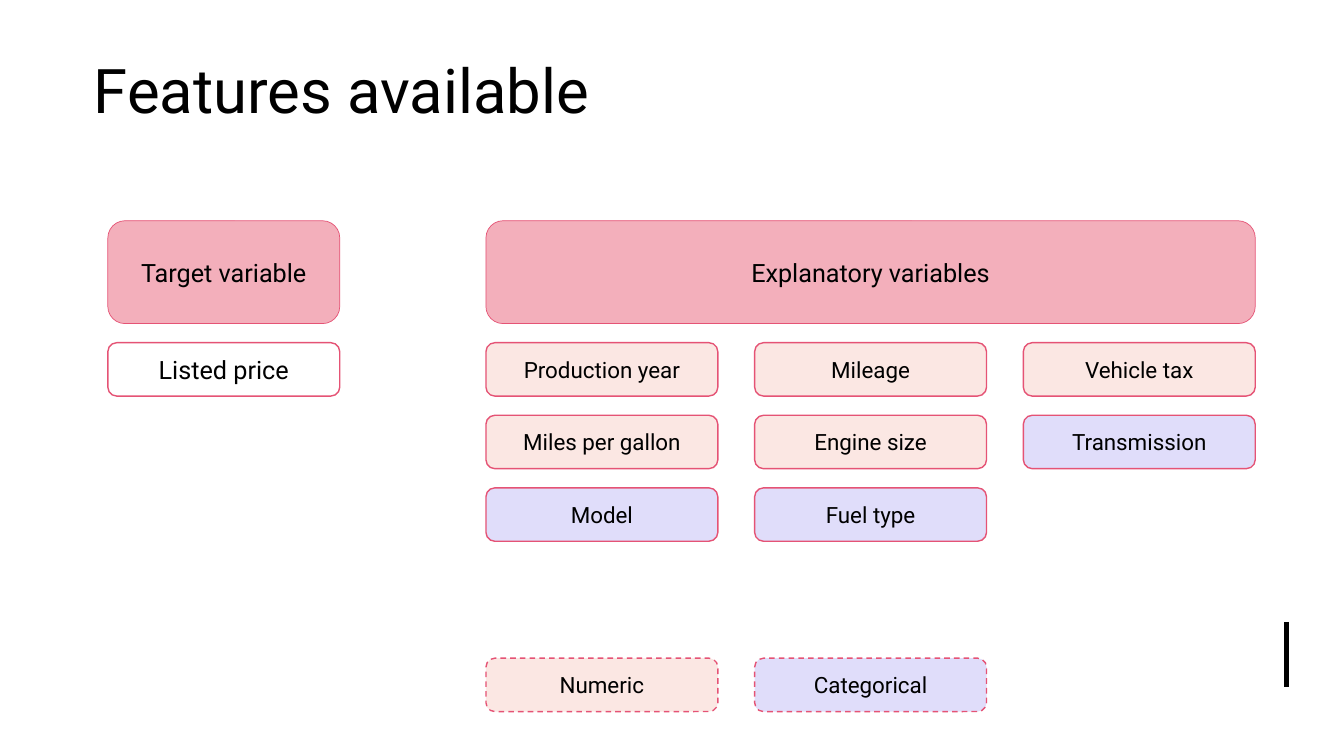
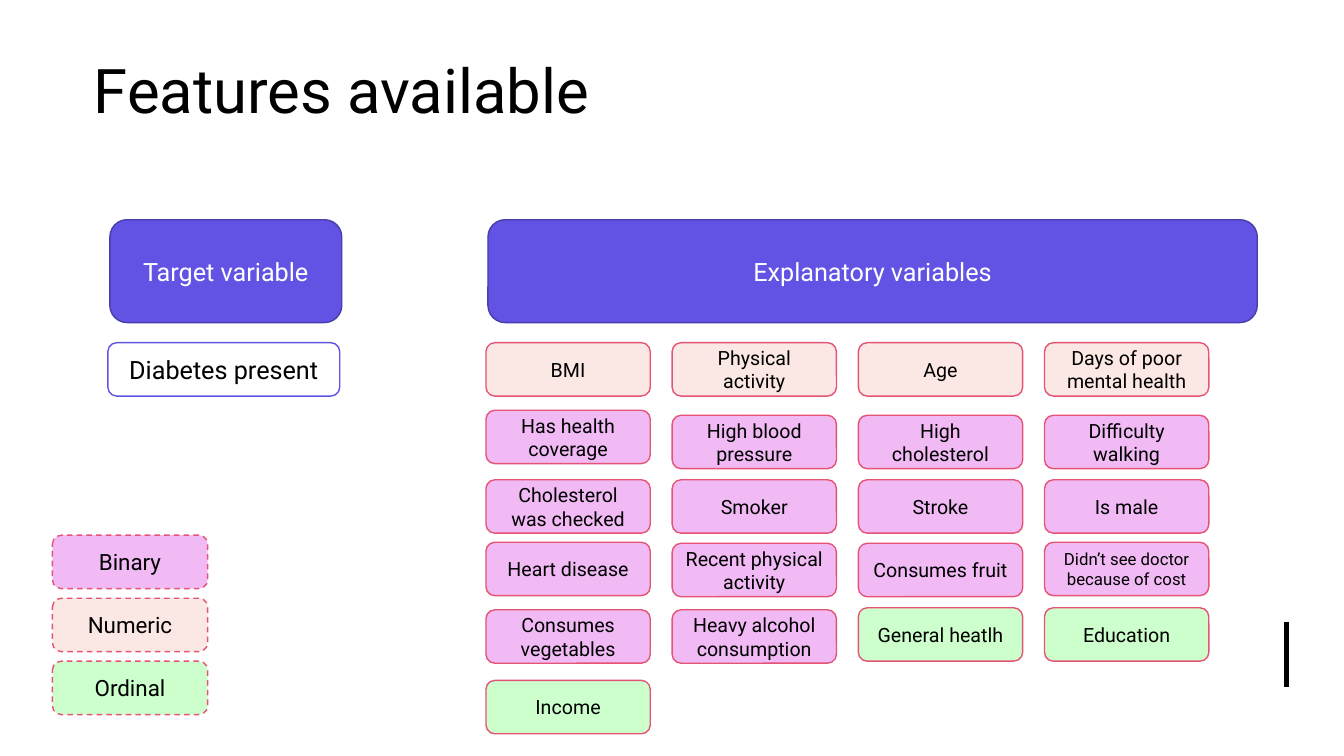
from lxml import etree
from pptx import Presentation
from pptx import util as u
from pptx.dml import color
from pptx.enum import dml, shapes, text
from pptx.oxml import ns

HUES = {
    "black": "000000", "white": "FFFFFF", "rose": "F3AFBB", "red": "E55375",
    "peach": "FBE7E3", "lilac": "E0DDFA", "violet": "6253E5", "navy": "493DA9",
    "pink": "F1BAF5", "green": "CCFFCC",
}
LEFT, GRID, TOP = 1.07, 4.82, 3.4
WIDE, FULL, TALL, LOW = 2.3, 7.63, 1.02, 0.53


def hue(name):
    return color.RGBColor.from_string(HUES[name])


def put(item, form):
    for key, value in form.items():
        setattr(item, key, value)


class Deck:
    font = "Roboto"
    frame = {"word_wrap": True, "auto_size": text.MSO_AUTO_SIZE.NONE,
             "vertical_anchor": text.MSO_ANCHOR.MIDDLE}

    def __init__(self):
        self.show = Presentation()
        put(self.show, {"slide_width": u.Inches(13.33), "slide_height": u.Inches(7.5)})
        self.slide = None

    def page(self, title):
        self.slide = self.show.slides.add_slide(self.show.slide_layouts[5])
        head = self.slide.shapes.title
        put(head, {"left": u.Inches(0.83), "top": u.Inches(0.37),
                   "width": u.Inches(11.35), "height": u.Inches(1.02)})
        self.label(head, title, 44, "black", text.PP_ALIGN.LEFT)
        self.rule(12.76, 6.17, 6.82)

    def label(self, shape, words, size, ink, align=text.PP_ALIGN.CENTER):
        put(shape.text_frame, self.frame)
        para = shape.text_frame.paragraphs[0]
        para.alignment = align
        run = para.add_run()
        run.text = words
        put(run.font, {"name": self.font, "size": u.Pt(size)})
        run.font.color.rgb = hue(ink)

    def rule(self, x, top, end):
        bar = self.slide.shapes.add_connector(
            shapes.MSO_CONNECTOR.STRAIGHT,
            u.Inches(x), u.Inches(top), u.Inches(x), u.Inches(end))
        bar.line.color.rgb = hue("black")
        bar.line.width = u.Pt(3)
        props = bar.element.find(ns.qn("p:spPr"))
        etree.SubElement(props, ns.qn("a:effectLst"))

    def box(self, words, x, y, wide, fill, size=16, tall=LOW,
            edge="red", weight=1, ink="black", dash=False):
        card = self.slide.shapes.add_shape(
            shapes.MSO_SHAPE.ROUNDED_RECTANGLE,
            u.Inches(x), u.Inches(y), u.Inches(wide), u.Inches(tall))
        card.shadow.inherit = False
        card.fill.solid()
        card.fill.fore_color.rgb = hue(fill)
        card.line.color.rgb = hue(edge)
        card.line.width = u.Pt(weight)
        if dash:
            card.line.dash_style = dml.MSO_LINE.DASH
        self.label(card, words, size, ink)

    def heads(self, shift, top, **form):
        for words, x, wide in (("Target variable", LEFT, WIDE),
                               ("Explanatory variables", GRID, FULL)):
            self.box(words, x + shift, top, wide, size=18, tall=TALL, **form)

    def grid(self, rows, tops, step, wide, kinds, size, odd=None):
        for top, row in zip(tops, rows):
            for col, (kind, words) in enumerate(row):
                y, points = (odd or {}).get(words, (top, size))
                self.box(words, GRID + col * step, y, wide, kinds[kind], points)


def cars(deck):
    deck.page("Features available")
    deck.heads(0, 2.19, fill="rose", weight=0.5)
    deck.box("Listed price", LEFT, TOP, WIDE, "white", 18)
    kinds = {"n": "peach", "c": "lilac"}
    rows = [
        [("n", "Production year"), ("n", "Mileage"), ("n", "Vehicle tax")],
        [("n", "Miles per gallon"), ("n", "Engine size"), ("c", "Transmission")],
        [("c", "Model"), ("c", "Fuel type")],
    ]
    step = (FULL - WIDE) / 2
    tops = [TOP + 0.72 * row for row in range(len(rows))]
    deck.grid(rows, tops, step, WIDE, kinds, 16)
    for col, (words, kind) in enumerate((("Numeric", "n"), ("Categorical", "c"))):
        deck.box(words, GRID + col * step, 6.53, WIDE, kinds[kind], dash=True)


def health(deck):
    deck.page("Features available")
    deck.heads(0.02, 2.18, fill="violet", edge="navy", ink="white")
    deck.box("Diabetes present", LEFT, TOP, WIDE, "white", 18, edge="violet")
    kinds = {"b": "pink", "n": "peach", "o": "green"}
    rows = [
        [("n", "BMI"), ("n", "Physical activity"), ("n", "Age"),
         ("n", "Days of poor mental health")],
        [("b", "Has health coverage"), ("b", "High blood pressure"),
         ("b", "High cholesterol"), ("b", "Difficulty walking")],
        [("b", "Cholesterol was checked"), ("b", "Smoker"), ("b", "Stroke"),
         ("b", "Is male")],
        [("b", "Heart disease"), ("b", "Recent physical activity"),
         ("b", "Consumes fruit"), ("b", "Didn’t see doctor because of cost")],
        [("b", "Consumes vegetables"), ("b", "Heavy alcohol consumption"),
         ("o", "General heatlh"), ("o", "Education")],
        [("o", "Income")],
    ]
    odd = {
        "Has health coverage": (4.07, 14),
        "Heart disease": (5.38, 14),
        "Didn’t see doctor because of cost": (5.38, 12),
        "General heatlh": (6.03, 14),
        "Education": (6.03, 14),
    }
    tops = [TOP, 4.12, 4.76, 5.39, 6.05, 6.75]
    deck.grid(rows, tops, (10.36 - GRID) / 3, 1.63, kinds, 14, odd)
    step = (6.56 - 5.31) / 2
    for row, (words, kind) in enumerate((("Binary", "b"), ("Numeric", "n"),
                                         ("Ordinal", "o"))):
        deck.box(words, 0.52, 5.31 + row * step, 1.54, kinds[kind], dash=True)


def main():
    deck = Deck()
    cars(deck)
    health(deck)
    deck.show.save("out.pptx")


if __name__ == "__main__":
    main()
